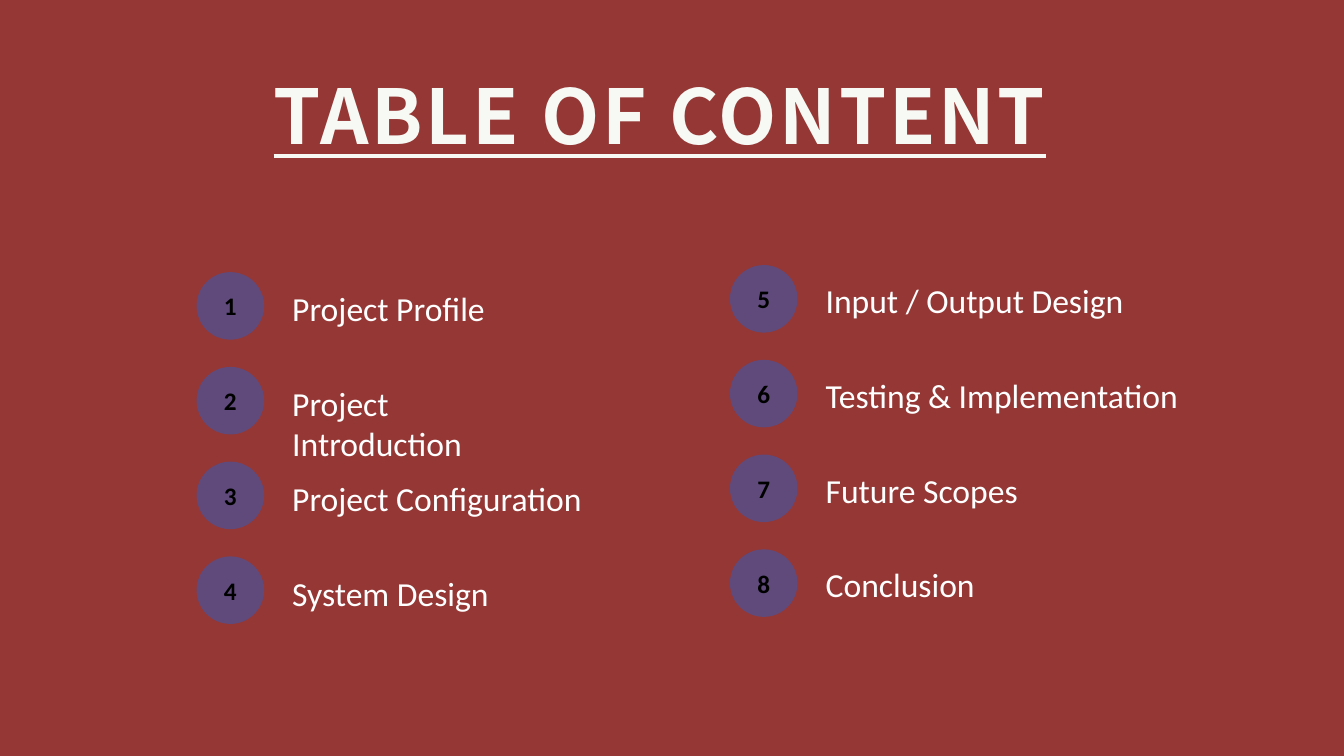
from pptx import Presentation
from pptx import util as u
from pptx.dml.color import RGBColor
from pptx.enum import shapes, text


def paint(target, colour):
    target.solid()
    target.fore_color.rgb = RGBColor.from_string(colour)


def write(para, words, font, size, colour, bold=False):
    span = para.add_run()
    span.text = words
    span.font.name = font
    span.font.size = u.Pt(size)
    span.font.bold = bold
    paint(span.font.fill, colour)
    return span


deck = Presentation()
deck.slide_width, deck.slide_height = u.Inches(13.33), u.Inches(7.5)
page = deck.slides.add_slide(deck.slide_layouts[5])
paint(page.background.fill, "953735")

# Title
title = page.shapes.title
title.left, title.top = u.Inches(2.2), u.Inches(0.74)
title.width, title.height = u.Inches(8.69), u.Inches(1.12)
title.text_frame.word_wrap = False
title.text_frame.auto_size = text.MSO_AUTO_SIZE.NONE
title.text_frame.vertical_anchor = text.MSO_ANCHOR.TOP
para = title.text_frame.paragraphs[0]
para.alignment = text.PP_ALIGN.CENTER
para.line_spacing = 0.9
span = write(para, "TABLE OF CONTENT", "Noto Sans CJK SC", 54, "F7F9F5", bold=True)
span.font.underline = True
span.font._element.set("spc", "200")

# Two columns: badge left, badge top, label left, label top, (label, width)
columns = [
    (1.95, 2.7, 2.8, 2.81, [("Project Profile", 2.12), ("Project Introduction", 2.12),
                            ("Project Configuration", 3.5), ("System Design", 2.56)]),
    (7.24, 2.63, 8.09, 2.73, [("Input / Output Design", 3.58), ("Testing & Implementation", 4.27),
                              ("Future Scopes", 2.44), ("Conclusion", 2.12)]),
]
row_pitch, badge_size, label_height = 0.94, 0.67, 0.46
number = 0

for badge_left, badge_top, label_left, label_top, entries in columns:
    for row, (label, label_width) in enumerate(entries):
        number += 1
        drop = row * row_pitch

        # Numbered badge
        badge = page.shapes.add_shape(
            shapes.MSO_SHAPE.OVAL, u.Inches(badge_left), u.Inches(badge_top + drop),
            u.Inches(badge_size), u.Inches(badge_size))
        badge.shadow.inherit = False
        paint(badge.fill, "604A7B")
        badge.line.fill.background()
        frame = badge.text_frame
        frame.margin_left = frame.margin_right = frame.margin_top = frame.margin_bottom = 0
        frame.vertical_anchor = text.MSO_ANCHOR.MIDDLE
        para = frame.paragraphs[0]
        para.alignment = text.PP_ALIGN.CENTER
        write(para, str(number), "Calibri", 18, "000000", bold=True)

        # Label
        box = page.shapes.add_textbox(
            u.Inches(label_left), u.Inches(label_top + drop),
            u.Inches(label_width), u.Inches(label_height))
        box.text_frame.word_wrap = False
        para = box.text_frame.paragraphs[0]
        para.alignment = text.PP_ALIGN.LEFT
        write(para, label, "Calibri", 24, "FFFFFF")

deck.save("out.pptx")
